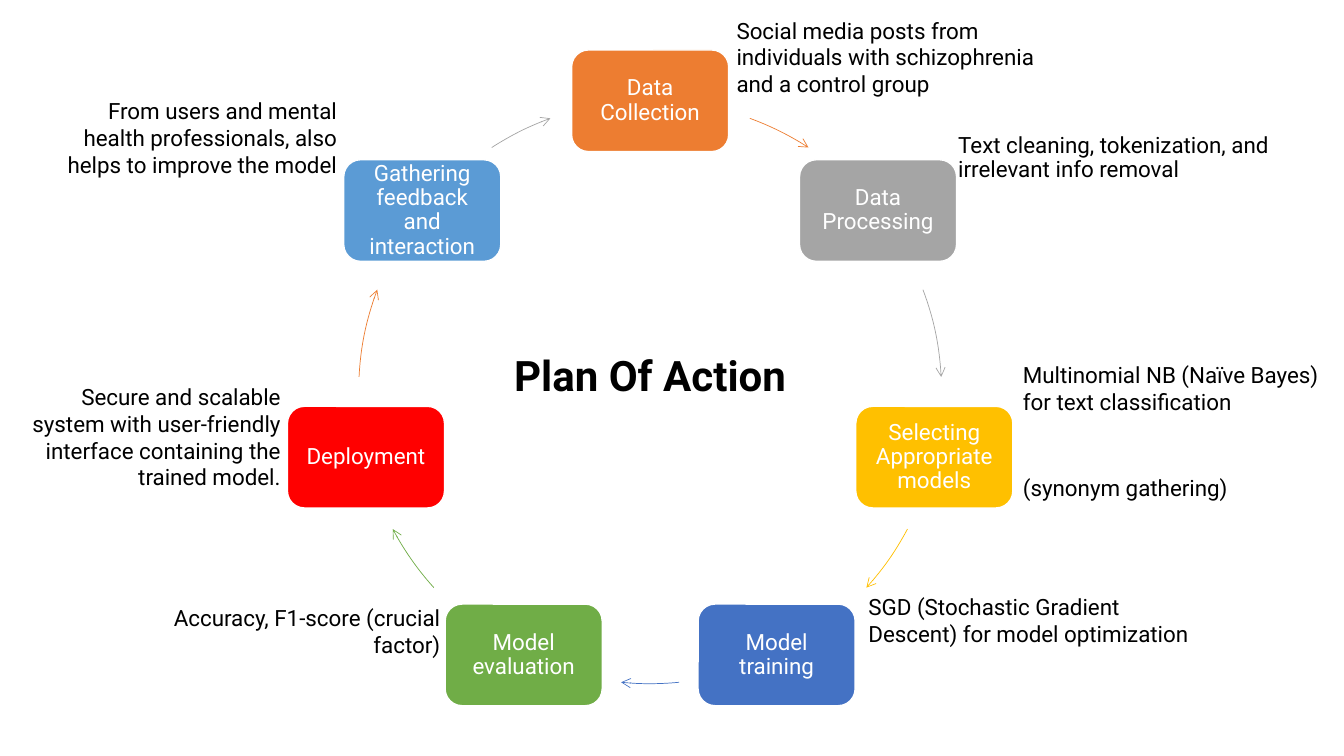
from math import cos, radians, sin

from lxml.etree import SubElement
from pptx import Presentation
from pptx.dml.color import RGBColor as Rgb
from pptx.enum.shapes import MSO_SHAPE as Kind
from pptx.enum.text import MSO_ANCHOR as Anchor, MSO_AUTO_SIZE as Fit, PP_ALIGN as Align
from pptx.oxml.ns import qn
from pptx.util import Inches, Pt

# The grid has square cells: 160 columns by 90 rows.
WIDE, HIGH = 13.33, 7.5
COLS, ROWS = 160, 90

# The ring, in grid cells: centre, radius, and size of a step's box.
MID_X, MID_Y, RADIUS = 77.4, 46.7, 34.7
BOX_W, BOX_H = 18.7, 12.1

# Label, fill, arrow colour, and the arrow's start and end in degrees from the top.
STEPS = [
    ("Data Collection", "ED7D31", "ED7D31", 20, 32.9),
    ("Data Processing", "A5A5A5", "A5A5A5", 69.4, 87),
    ("Selecting Appropriate models", "FFC000", "FFC000", 118, 132.1),
    ("Model training", "4472C4", "4472C4", 174.3, 185.7),
    ("Model evaluation", "70AD47", "70AD47", 227.9, 242),
    ("Deployment", "FF0000", "ED7D31", 273, 290.6),
    ("Gathering feedback and interaction", "5B9BD5", "A5A5A5", 327.1, 340),
]

# Text, column, row, width, height, alignment, line spacing, space before.
NOTES = [
    ("Social media posts from individuals with schizophrenia and a control group",
     86.5, 1.4, 41.2, 10.9, Align.LEFT, 1.0, 0),
    ("Text cleaning, tokenization, and irrelevant info removal",
     112.9, 15.4, 41.2, 7.1, Align.LEFT, 0.9, 10),
    ("Multinomial NB (Naïve Bayes)\nfor text classification",
     120.6, 42.4, 39.4, 7.7, Align.LEFT, 1.0, 0),
    ("SGD (Stochastic Gradient Descent) for model optimization",
     102.2, 70, 41.2, 7.7, Align.LEFT, 1.0, 0),
    ("(synonym gathering)", 120.6, 55.8, 39.4, 4.4, Align.LEFT, 1.0, 0),
    ("Accuracy, F1-score (crucial factor)", 12.4, 71.3, 41.2, 7.7, Align.RIGHT, 1.0, 0),
    ("Secure and scalable system with user-friendly interface containing the trained model.",
     0, 45, 34.6, 14.2, Align.RIGHT, 1.0, 0),
    ("From users and mental health professionals, also helps to improve the model",
     5.9, 11, 35.4, 10.9, Align.RIGHT, 1.0, 0),
]


def tint(code):
    return Rgb.from_string(code)


class Board:
    """Holds the text style and the slide being drawn."""

    font, size = "Roboto", 16
    ink, paper = "000000", "FFFFFF"

    def __init__(self, slide):
        self.slide = slide
        self.shapes = slide.shapes

    def area(self, col, row, wide, high):
        """Turn grid cells into left, top, width and height."""
        across, down = WIDE / COLS, HIGH / ROWS
        return (Inches(col * across), Inches(row * down),
                Inches(wide * across), Inches(high * down))

    def letter(self, frame, text, align, gap=1.0, before=0, color=ink, size=size, bold=False):
        """Put styled text into a text frame."""
        frame.text = text
        frame.word_wrap = True
        for para in frame.paragraphs:
            para.alignment = align
            para.line_spacing = gap
            para.space_before = Pt(before)
            for run in para.runs:
                run.font.name = self.font
                run.font.size = Pt(size)
                run.font.bold = bold
                run.font.color.rgb = tint(color)

    def title(self, text, *cells):
        head = self.shapes.title
        head.left, head.top, head.width, head.height = self.area(*cells)
        self.letter(head.text_frame, text, Align.CENTER, gap=0.9, size=30, bold=True)
        head.text_frame.auto_size = Fit.NONE
        head.text_frame.vertical_anchor = Anchor.MIDDLE

    def step(self, text, fill, angle):
        """Place a box on the ring, at an angle in degrees from the top."""
        turn = radians(angle)
        col = MID_X + RADIUS * sin(turn) - BOX_W / 2
        row = MID_Y - RADIUS * cos(turn) - BOX_H / 2
        box = self.shapes.add_shape(Kind.ROUNDED_RECTANGLE, *self.area(col, row, BOX_W, BOX_H))
        box.shadow.inherit = False
        box.fill.solid()
        box.fill.fore_color.rgb = tint(fill)
        box.line.color.rgb = tint(self.paper)
        box.line.width = Pt(1)
        frame = box.text_frame
        frame.margin_left = frame.margin_right = Inches(0.07)
        frame.margin_top = frame.margin_bottom = Inches(0.07)
        frame.vertical_anchor = Anchor.MIDDLE
        self.letter(frame, text, Align.CENTER, gap=0.9, color=self.paper)

    def arrow(self, color, start, end):
        """Draw an arc of the ring, clockwise, with an arrowhead at its end."""
        arc = self.shapes.add_shape(Kind.ARC, *self.area(
            MID_X - RADIUS, MID_Y - RADIUS, 2 * RADIUS, 2 * RADIUS))
        arc.shadow.inherit = False
        arc.fill.background()
        arc.line.color.rgb = tint(color)
        arc.line.width = Pt(0.5)
        # Arc angles count from the right, 0.6 to a degree.
        for spot, angle in enumerate((start, end)):
            arc.adjustments[spot] = (angle - 90) % 360 * 0.6
        line = arc.element.spPr.find(qn("a:ln"))
        SubElement(line, qn("a:tailEnd"), type="arrow")

    def note(self, text, col, row, wide, high, align, gap, before):
        box = self.shapes.add_textbox(*self.area(col, row, wide, high))
        self.letter(box.text_frame, text, align, gap, before)
        box.text_frame.auto_size = Fit.SHAPE_TO_FIT_TEXT


def main():
    deck = Presentation()
    deck.slide_width, deck.slide_height = Inches(WIDE), Inches(HIGH)
    board = Board(deck.slides.add_slide(deck.slide_layouts[5]))
    board.title("Plan Of Action", 57.8, 35.4, 39.2, 19.1)
    for count, (text, fill, color, start, end) in enumerate(STEPS):
        board.step(text, fill, count * 360 / len(STEPS))
        board.arrow(color, start, end)
    for note in NOTES:
        board.note(*note)
    deck.save("out.pptx")


if __name__ == "__main__":
    main()
